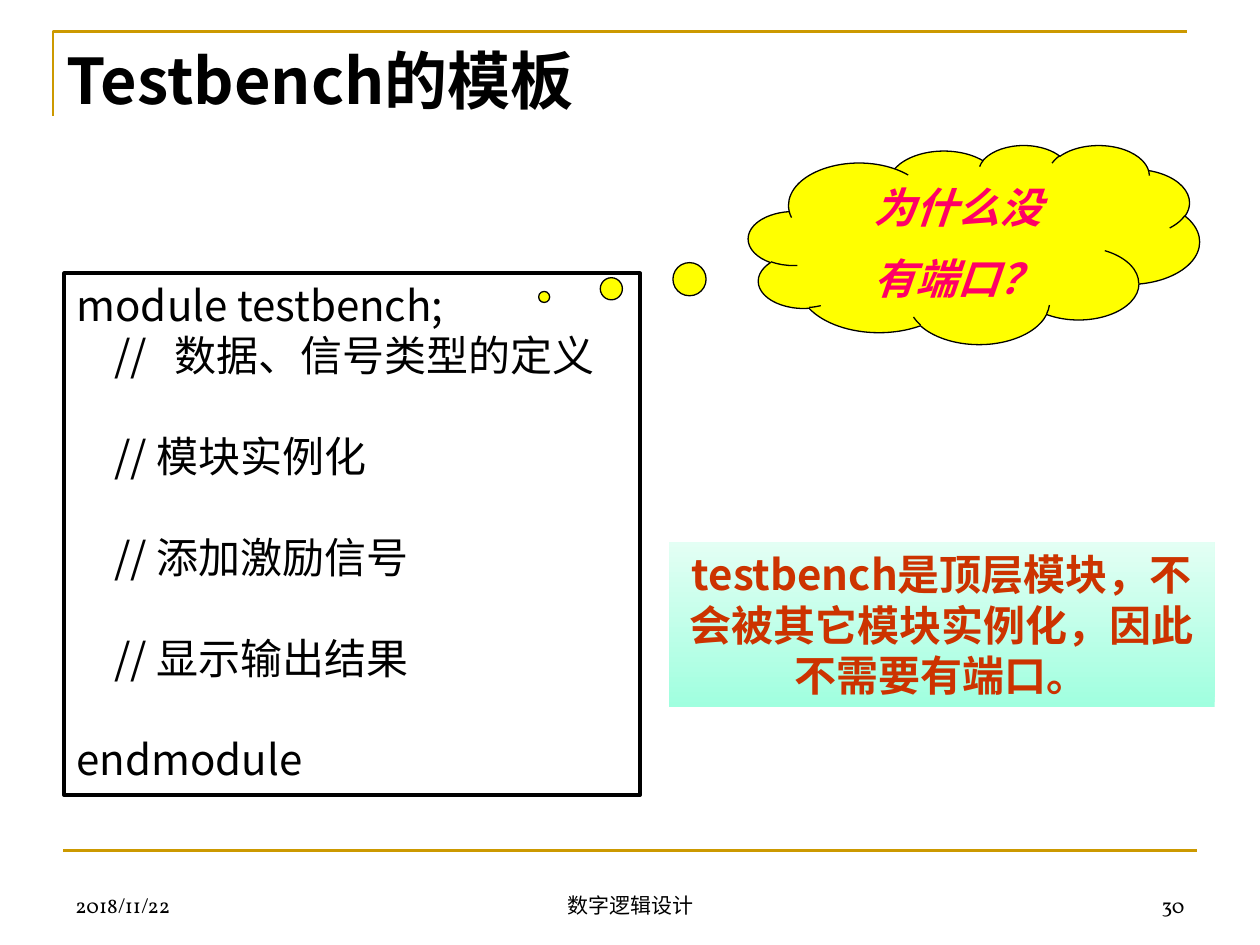
from pptx import Presentation
from pptx.util import Inches, Pt
from pptx.dml.color import RGBColor
from pptx.enum.shapes import MSO_CONNECTOR, MSO_SHAPE
from pptx.enum.text import MSO_ANCHOR, PP_ALIGN
from pptx.oxml.ns import qn
from lxml import etree

LEFT, CENTER, RIGHT = PP_ALIGN.LEFT, PP_ALIGN.CENTER, PP_ALIGN.RIGHT
TOP, MIDDLE, BOTTOM = MSO_ANCHOR.TOP, MSO_ANCHOR.MIDDLE, MSO_ANCHOR.BOTTOM
BLACK = RGBColor(0x00, 0x00, 0x00)
GOLD = RGBColor(0xCC, 0x99, 0x00)
YELLOW = RGBColor(0xFF, 0xFF, 0x00)
PINK = RGBColor(0xFF, 0x00, 0x66)
RUST = RGBColor(0xCC, 0x33, 0x00)
MINT = RGBColor(0xA0, 0xFF, 0xDF)
PALE_MINT = RGBColor(0xE3, 0xFF, 0xF4)
SANS, SERIF = "Noto Sans CJK SC", "Vollkorn"


def place(left, top, width, height):
    return [Inches(value) for value in (left, top, width, height)]


def write(shape, text, size, color, font=SANS, bold=False, italic=False,
          align=LEFT, anchor=TOP, before=0):
    frame = shape.text_frame
    frame.word_wrap = True
    frame.vertical_anchor = anchor
    frame.text = text
    for para in frame.paragraphs:
        para.alignment = align
        para.space_before = Pt(before)
        for span in para.runs:
            span.font.name = font
            span.font.size = Pt(size)
            span.font.bold = bold
            span.font.italic = italic
            span.font.color.rgb = color
            east_asian = etree.Element(qn("a:ea"), typeface=font)
            span.font._element.find(qn("a:latin")).addnext(east_asian)


deck = Presentation()
deck.slide_width, deck.slide_height = Inches(10), Inches(7.5)
page = deck.slides.add_slide(deck.slide_layouts[5])
shapes = page.shapes

# Gold corner and footer rule
builder = shapes.build_freeform(Inches(0.42), Inches(0.92))
builder.add_line_segments(
    [(Inches(0.42), Inches(0.25)), (Inches(9.42), Inches(0.25))], close=False)
corner = builder.convert_to_shape()
corner.shadow.inherit = False
corner.fill.background()
rule = shapes.add_connector(MSO_CONNECTOR.STRAIGHT, Inches(0.5), Inches(6.75),
                            Inches(9.5), Inches(6.75))
etree.SubElement(rule._element.spPr, qn("a:effectLst"))
for stroke in (corner, rule):
    stroke.line.color.rgb = GOLD
    stroke.line.width = Pt(1.5)

# Footer
for left, width, text, align in [(0.5, 2.33, "2018/11/22", LEFT),
                                 (3.42, 3.17, "数字逻辑设计", CENTER),
                                 (7.17, 2.33, "30", RIGHT)]:
    box = shapes.add_textbox(*place(left, 6.83, width, 0.5))
    write(box, text, 12, BLACK, font=SERIF, align=align, anchor=BOTTOM)

# Title
title = shapes.title
title.left, title.top, title.width, title.height = place(0.43, 0.28, 10, 0.71)
write(title, "Testbench的模板", 36, BLACK, bold=True)

# Code template
code = shapes.add_shape(MSO_SHAPE.RECTANGLE, *place(0.51, 2.17, 4.57, 4.14))
code.shadow.inherit = False
code.fill.background()
code.line.color.rgb = BLACK
code.line.width = Pt(2.25)
write(code, "module testbench;\n//\t数据、信号类型的定义\n// 模块实例化\n"
            "// 添加激励信号\n// 显示输出结果\nendmodule", 24, BLACK)
for para in code.text_frame.paragraphs[1:-1]:
    para.space_after = Pt(28.8)
    properties = para._p.get_or_add_pPr()
    properties.set("marL", str(Inches(0.78)))
    properties.set("indent", str(Inches(-0.48)))

# Question cloud
cloud = shapes.add_shape(MSO_SHAPE.CLOUD_CALLOUT, *place(5.94, 1.15, 3.58, 1.58))
cloud.shadow.inherit = False
cloud.adjustments[0], cloud.adjustments[1] = -0.953, 0.264
cloud.fill.solid()
cloud.fill.fore_color.rgb = YELLOW
cloud.line.color.rgb = BLACK
cloud.line.width = Pt(0.75)
write(cloud, "为什么没\n有端口？", 24, PINK, bold=True, italic=True,
      align=CENTER, before=12)

# Answer
answer = shapes.add_shape(MSO_SHAPE.RECTANGLE, *place(5.31, 4.3, 4.33, 1.31))
answer.shadow.inherit = False
answer.line.fill.background()
answer.fill.gradient()
answer.fill.gradient_angle = 90
for stop, color in zip(answer.fill.gradient_stops, (MINT, PALE_MINT)):
    stop.color.rgb = color
write(answer, "testbench是顶层模块，不会被其它模块实例化，因此不需要有端口。",
      24, RUST, bold=True, align=CENTER, anchor=MIDDLE, before=12)

deck.save("out.pptx")
